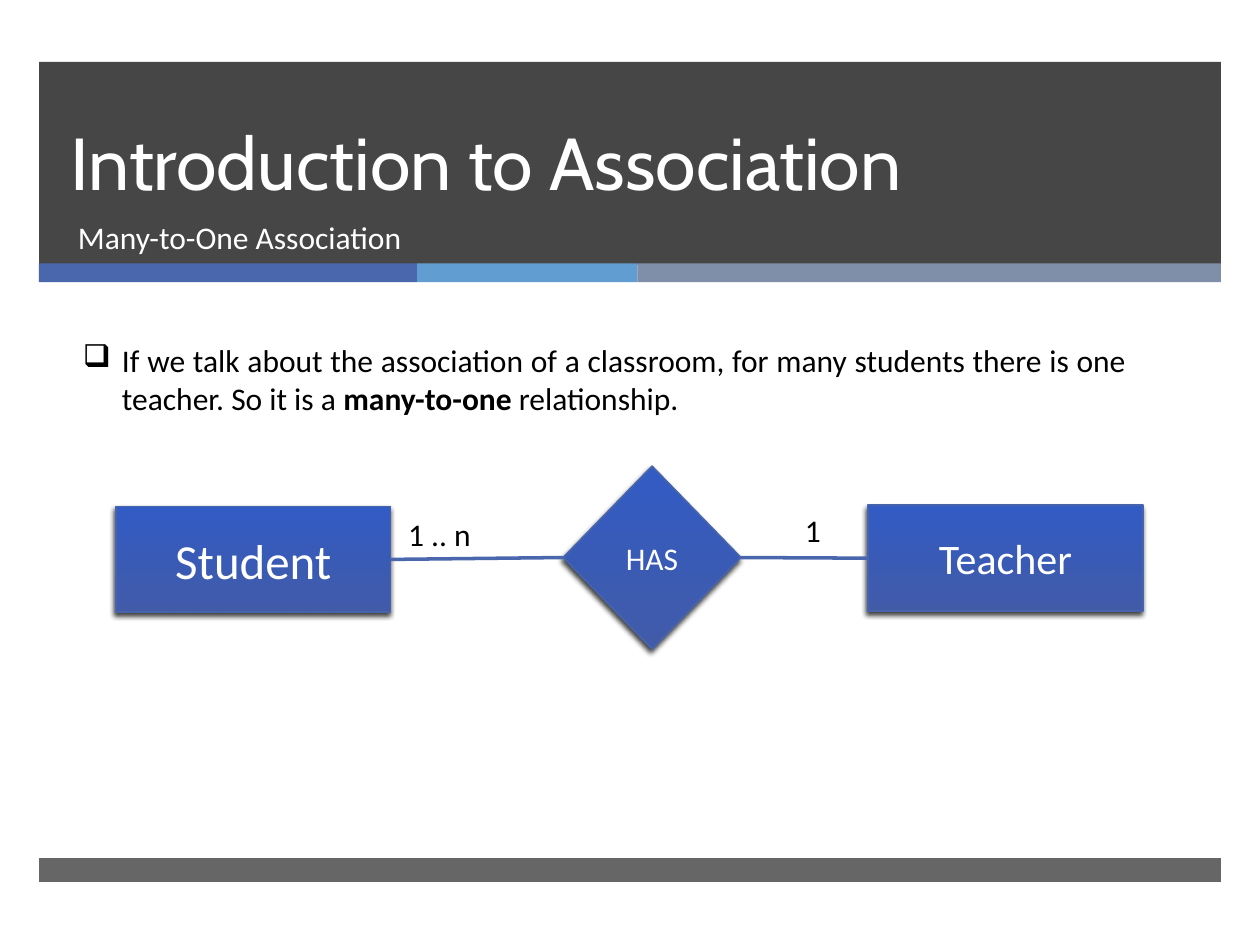
from dataclasses import dataclass

from lxml import etree
from pptx import Presentation
from pptx.dml.color import RGBColor
from pptx.enum.shapes import MSO_CONNECTOR, MSO_SHAPE
from pptx.enum.text import MSO_ANCHOR, MSO_AUTO_SIZE, PP_ALIGN
from pptx.oxml.ns import qn
from pptx.util import Inches, Pt

RECTANGLE, DIAMOND = MSO_SHAPE.RECTANGLE, MSO_SHAPE.DIAMOND
STRAIGHT = MSO_CONNECTOR.STRAIGHT
TOP, MIDDLE, BOTTOM = MSO_ANCHOR.TOP, MSO_ANCHOR.MIDDLE, MSO_ANCHOR.BOTTOM
LEFT, CENTER, JUSTIFY = PP_ALIGN.LEFT, PP_ALIGN.CENTER, PP_ALIGN.JUSTIFY
NO_AUTOFIT = MSO_AUTO_SIZE.NONE
LEFT_SITE, RIGHT_SITE = 1, 3  # connection sites of rectangles and diamonds


@dataclass(frozen=True)
class Theme:
    heading_font: str = "Cabin"
    body_font: str = "Calibri"
    white: str = "FFFFFF"
    black: str = "000000"
    dark: str = "262626"
    accents: tuple = ("4A66AC", "629DD1", "7F8FA9")
    node_bottom: str = "415BA9"
    node_top: str = "325BC4"
    node_line: str = "4663AB"
    title_size: int = 42
    large_size: int = 28
    medium_size: int = 24
    body_size: int = 18


THEME = Theme()
SLIDE_WIDTH, SLIDE_HEIGHT = 10, 7.5
MARGIN = 0.31
BAND_WIDTH = SLIDE_WIDTH - 2 * MARGIN
HEADER_TOP, STRIPE_TOP, FOOTER_TOP = 0.49, 2.09, 6.81
STRIPE_WIDTHS = (3, 1.75, 4.63)
NODE_WIDTH, NODE_HEIGHT = 2.18, 0.84


def color(value):
    return RGBColor.from_string(value)


def box(left, top, width, height):
    return [Inches(length) for length in (left, top, width, height)]


def write_text(shape, text, *, size=THEME.body_size, font=THEME.body_font,
               fill=THEME.black, align=LEFT, anchor=TOP, line_spacing=None,
               bullet=None, indent=0.31):
    """Write a string, or (text, bold) pieces, as one paragraph."""
    frame = shape.text_frame
    frame.word_wrap = True
    frame.auto_size = NO_AUTOFIT
    frame.vertical_anchor = anchor
    paragraph = frame.paragraphs[0]
    paragraph.alignment = align
    if line_spacing:
        paragraph.line_spacing = Pt(line_spacing)
    if bullet:
        properties = paragraph._p.get_or_add_pPr()
        properties.set("marL", str(Inches(indent)))
        properties.set("indent", str(-Inches(indent)))
        etree.SubElement(properties, qn("a:buChar"), char=bullet)
    for piece, bold in [(text, False)] if isinstance(text, str) else text:
        run = paragraph.add_run()
        run.text = piece
        run.font.name, run.font.size, run.font.bold = font, Pt(size), bold
        run.font.color.rgb = color(fill)


def add_text(slide, place, text, **text_format):
    write_text(slide.shapes.add_textbox(*box(*place)), text, **text_format)


def add_band(slide, place, fill, opacity=100):
    band = slide.shapes.add_shape(RECTANGLE, *box(*place))
    band.shadow.inherit = False
    band.fill.solid()
    band.fill.fore_color.rgb = color(fill)
    band.line.fill.background()
    if opacity < 100:
        value = band._element.spPr.find(".//" + qn("a:srgbClr"))
        etree.SubElement(value, qn("a:alpha"), val=str(opacity * 1000))


def add_shadow(shape):
    shape.shadow.inherit = False
    effects = shape._element.spPr.find(qn("a:effectLst"))
    shadow = etree.SubElement(effects, qn("a:outerShdw"), blurRad=str(Pt(3)),
                              dist=str(Pt(2)), dir=str(110 * 60000),
                              rotWithShape="0")
    value = etree.SubElement(shadow, qn("a:srgbClr"), val=THEME.black)
    etree.SubElement(value, qn("a:alpha"), val="75000")


def add_node(slide, kind, place, text, size):
    node = slide.shapes.add_shape(kind, *box(*place))
    node.fill.gradient()
    node.fill.gradient_angle = 90
    for stop, value in zip(node.fill.gradient_stops,
                           (THEME.node_bottom, THEME.node_top)):
        stop.color.rgb = color(value)
    node.line.color.rgb = color(THEME.node_line)
    node.line.width = Pt(1)
    add_shadow(node)
    write_text(node, text, size=size, fill=THEME.white, align=CENTER,
               anchor=MIDDLE)
    return node


def link(slide, start, end):
    connector = slide.shapes.add_connector(STRAIGHT, 0, 0, 0, 0)
    connector.begin_connect(start, RIGHT_SITE)
    connector.end_connect(end, LEFT_SITE)
    connector.line.color.rgb = color(THEME.accents[0])
    connector.line.width = Pt(2)
    etree.SubElement(connector._element.spPr, qn("a:effectLst"))


def add_background(slide):
    add_band(slide, (MARGIN, HEADER_TOP, BAND_WIDTH, 1.61), THEME.dark, 85)
    left = MARGIN
    for width, accent in zip(STRIPE_WIDTHS, THEME.accents):
        add_band(slide, (left, STRIPE_TOP, width, 0.15), accent)
        left += width
    add_band(slide, (MARGIN, FOOTER_TOP, BAND_WIDTH, 0.19), THEME.dark, 70)


def add_heading(slide):
    title = slide.shapes.title
    title.left, title.top, title.width, title.height = box(
        0.46, HEADER_TOP, 8.54, 1.19)
    write_text(title, "Introduction to Association", size=THEME.title_size,
               font=THEME.heading_font, fill=THEME.white, anchor=BOTTOM,
               line_spacing=46)
    slide.shapes.element.append(title.element)  # bring above the header band
    add_text(slide, (0.52, 1.68, 8.48, 0.53), "Many-to-One Association",
             fill=THEME.white)


def add_diagram(slide):
    student = add_node(slide, RECTANGLE, (0.92, 4.02, NODE_WIDTH, NODE_HEIGHT),
                       "Student", THEME.large_size)
    teacher = add_node(slide, RECTANGLE, (6.89, 4.01, NODE_WIDTH, NODE_HEIGHT),
                       "Teacher", THEME.medium_size)
    relation = add_node(slide, DIAMOND, (4.47, 3.7, 1.41, 1.45),
                        "HAS", THEME.body_size)
    link(slide, student, relation)
    link(slide, relation, teacher)
    # Multiplicities
    add_text(slide, (6.29, 4.01, 0.68, 0.4), "1")
    add_text(slide, (3.14, 4.04, 0.84, 0.4), "1 .. n")


def main():
    presentation = Presentation()
    presentation.slide_width = Inches(SLIDE_WIDTH)
    presentation.slide_height = Inches(SLIDE_HEIGHT)
    title_only = presentation.slide_layouts.get_by_name("Title Only")
    slide = presentation.slides.add_slide(title_only)
    add_background(slide)
    add_heading(slide)
    add_text(slide, (0.56, 2.66, 8.48, 0.71), [
        ("If we talk about the association of a classroom, for many students "
         "there is one teacher. So it is a ", False),
        ("many-to-one ", True),
        ("relationship.", False),
    ], align=JUSTIFY, bullet="❑")
    add_diagram(slide)
    presentation.save("out.pptx")


if __name__ == "__main__":
    main()
